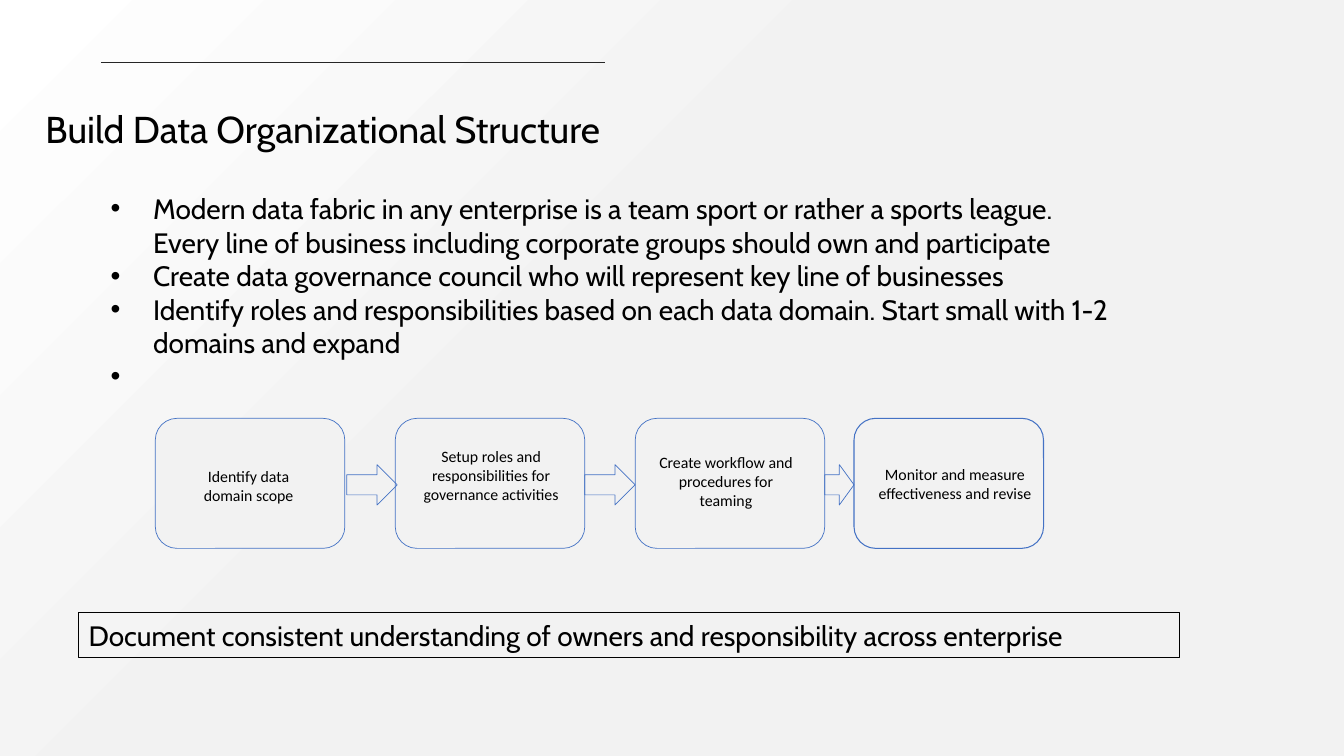
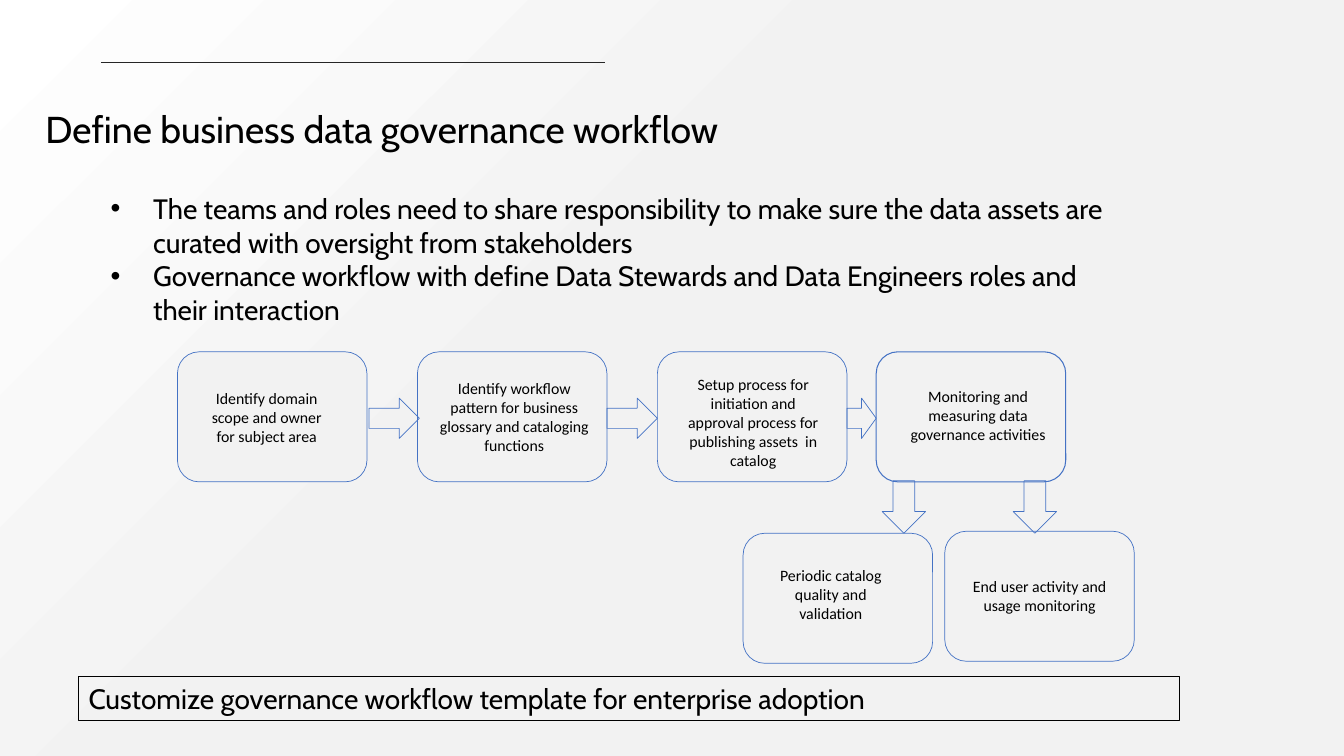
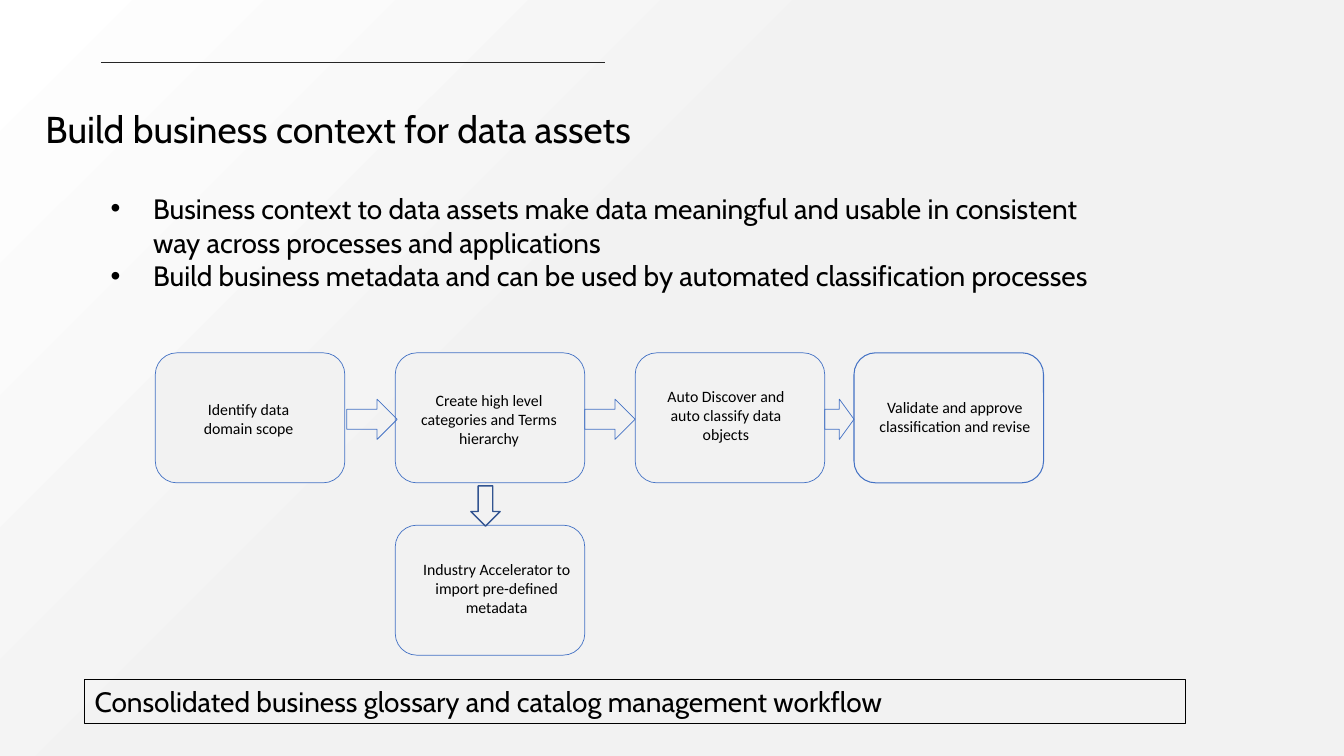
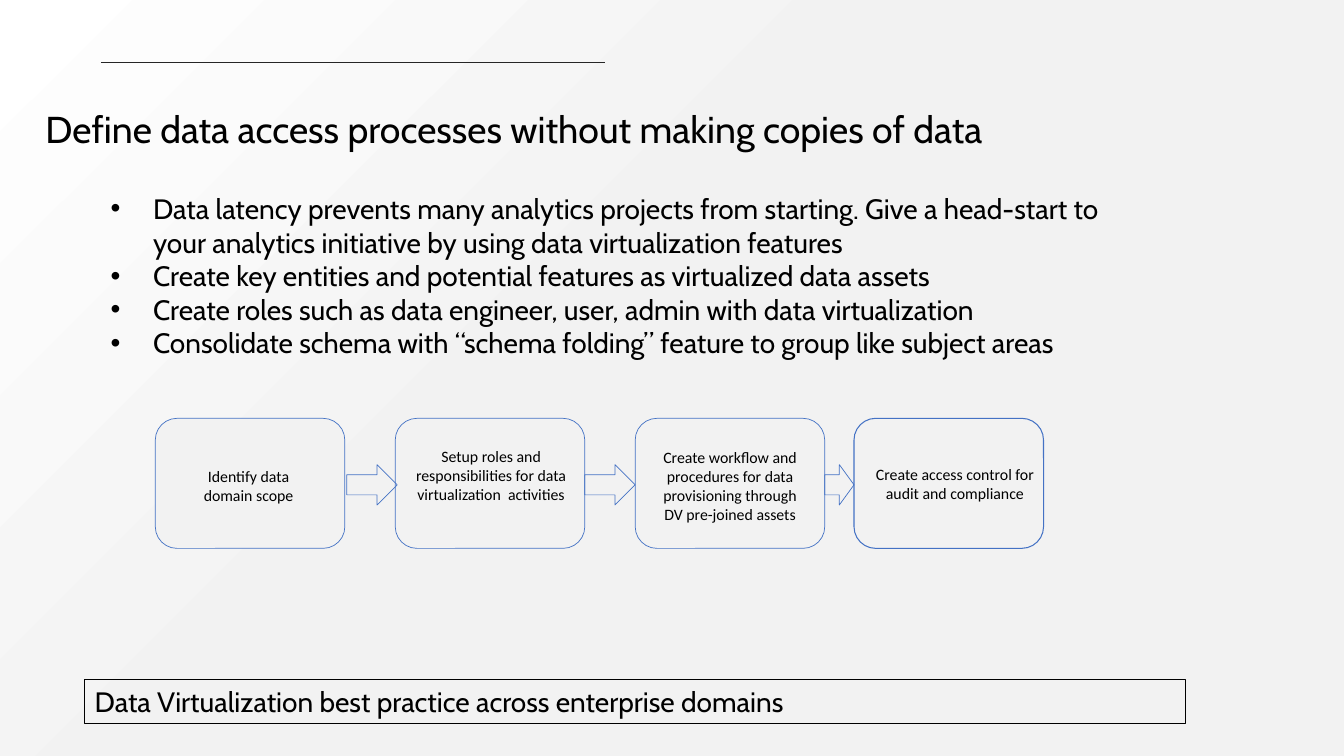
from lxml.etree import SubElement
from pptx import Presentation
from pptx.dml.color import RGBColor
from pptx.enum.shapes import MSO_CONNECTOR, MSO_SHAPE as Preset
from pptx.enum.text import MSO_ANCHOR, PP_ALIGN
from pptx.oxml.ns import qn
from pptx.util import Inches, Pt


def color(hex_text):
    return RGBColor.from_string(hex_text)


class Deck:
    # Shared style
    WHITE, PALE, INK, RULE = "FFFFFF", "F2F2F2", "000000", "262626"
    BLUE, NAVY = "4472C4", "325491"
    HEADING, LABEL = "Cabin", "Calibri"

    # Process row: box size, box offsets, label widths, arrow offsets and widths
    BOX_W, BOX_H = 1.88, 1.29
    STEPS = (0, 2.38, 4.76, 6.93)
    LABEL_WIDTHS = (1.33, 1.76, 1.54, 1.88)
    ARROWS = ((1.9, 0.5), (4.26, 0.5), (6.64, 0.29))

    def __init__(self):
        self.prs = Presentation()
        self.prs.slide_width = Inches(13.33)
        self.prs.slide_height = Inches(7.5)
        self.slide = None

    def new_slide(self, title):
        self.slide = self.prs.slides.add_slide(self.prs.slide_layouts[6])
        fill = self.slide.background.fill
        fill.gradient()
        fill.gradient_angle = 315
        for stop, place, shade in zip(fill.gradient_stops, (0, 0.44), (self.WHITE, self.PALE)):
            stop.position = place
            stop.color.rgb = color(shade)
        self.rule()
        self.text([title], 0.38, 0.98, 11.21, 0.58, 26.7, inset=0.07)

    def rule(self):
        rule = self.slide.shapes.add_connector(
            MSO_CONNECTOR.STRAIGHT, Inches(1), Inches(0.62), Inches(6), Inches(0.62))
        rule.line.color.rgb = color(self.RULE)
        rule.line.width = Pt(1.25)
        SubElement(rule._element.spPr, qn("a:effectLst"))

    def fill_text(self, frame, lines, size, font, align=PP_ALIGN.LEFT):
        frame.word_wrap = True
        for index, line in enumerate(lines):
            paragraph = frame.paragraphs[0] if index == 0 else frame.add_paragraph()
            paragraph.text = line
            paragraph.alignment = align
            paragraph.font.size = Pt(size)
            paragraph.font.name = font
            paragraph.font.color.rgb = color(self.INK)

    def text(self, lines, left, top, width, height, size,
             font=HEADING, align=PP_ALIGN.LEFT, inset=None):
        box = self.slide.shapes.add_textbox(
            Inches(left), Inches(top), Inches(width), Inches(height))
        frame = box.text_frame
        if inset is not None:
            frame.margin_left = frame.margin_right = Inches(inset)
            frame.margin_top = frame.margin_bottom = Inches(inset)
        self.fill_text(frame, lines, size, font, align)
        return frame

    def bullets(self, lines, height):
        frame = self.text(lines, 1, 1.85, 10.23, height, 20)
        for paragraph in frame.paragraphs:
            props = paragraph._p.get_or_add_pPr()
            props.set("marL", str(Inches(0.42)))
            props.set("indent", str(-Inches(0.42)))
            SubElement(props, qn("a:buFont")).set("typeface", "Arial")
            SubElement(props, qn("a:buChar")).set("char", "•")
            # Default run properties close the paragraph properties
            props.append(props.find(qn("a:defRPr")))

    def shape(self, preset, left, top, width, height, line=BLUE, weight=0.5, fill=None):
        shape = self.slide.shapes.add_shape(
            preset, Inches(left), Inches(top), Inches(width), Inches(height))
        shape.shadow.inherit = False
        if fill:
            shape.fill.solid()
            shape.fill.fore_color.rgb = color(fill)
        else:
            shape.fill.background()
        shape.line.color.rgb = color(line)
        shape.line.width = Pt(weight)
        return shape

    def box(self, left, top, weight=0.5):
        self.shape(Preset.ROUNDED_RECTANGLE, left, top, self.BOX_W, self.BOX_H,
                   weight=weight, fill=self.PALE)

    def label(self, text, left, top, width, rows):
        self.text([text], left, top, width, 0.1 + 0.19 * rows, 11.3,
                  self.LABEL, PP_ALIGN.CENTER)

    def process(self, left, top, labels):
        """Row of four steps; each label is (text, left, top, rows)."""
        for index, offset in enumerate(self.STEPS):
            self.box(left + offset, top, 0.75 if index == 3 else 0.5)
        for (text, x, y, rows), width in zip(labels, self.LABEL_WIDTHS):
            self.label(text, x, y, width, rows)
        for offset, width in self.ARROWS:
            self.shape(Preset.RIGHT_ARROW, left + offset, top + 0.46, width, 0.4)

    def down_arrow(self, left, top, width, height, line=BLUE, weight=0.5):
        self.shape(Preset.DOWN_ARROW, left, top, width, height, line, weight)

    def takeaway(self, text, left, top):
        banner = self.shape(Preset.RECTANGLE, left, top, 10.92, 0.44, self.INK, 0.75)
        banner.text_frame.vertical_anchor = MSO_ANCHOR.MIDDLE
        self.fill_text(banner.text_frame, [text], 20, self.HEADING)


deck = Deck()

# Organizational structure
deck.new_slide("Build Data Organizational Structure")
deck.bullets([
    "Modern data fabric in any enterprise is a team sport or rather a sports league. "
    "Every line of business including corporate groups should own and participate",
    "Create data governance council who will represent key line of businesses",
    "Identify roles and responsibilities based on each data domain. "
    "Start small with 1-2 domains and expand",
    " ",
], 2.66)
deck.process(1.54, 4.15, [
    ("Identify data domain scope", 1.8, 4.58, 2),
    ("Setup roles and responsibilities for governance activities", 3.99, 4.38, 3),
    ("Create workflow and procedures for teaming", 6.43, 4.44, 3),
    ("Monitor and measure effectiveness and revise", 8.53, 4.56, 2),
])
deck.takeaway("Document consistent understanding of owners and responsibility across enterprise",
              0.78, 6.08)

# Governance workflow
deck.new_slide("Define business data governance workflow")
deck.bullets([
    "The teams and roles need to share responsibility to make sure the data assets are "
    "curated with oversight from stakeholders",
    "Governance workflow with define Data Stewards and Data Engineers roles and "
    "their interaction",
], 1.78)
deck.process(1.76, 3.49, [
    ("Identify domain scope and owner for subject area", 1.98, 3.81, 3),
    ("Identify workflow pattern for business glossary and cataloging functions",
     4.22, 3.71, 4),
    ("Setup process for initiation and approval process for publishing assets  in catalog",
     6.7, 3.67, 5),
    ("Monitoring and measuring data governance activities", 8.76, 3.79, 3),
])
deck.box(7.37, 5.29)
deck.label("Periodic catalog quality and validation", 7.56, 5.56, 1.36, 3)
deck.box(9.37, 5.27)
deck.label("End user activity and usage monitoring", 9.47, 5.67, 1.68, 2)
for arrow_left in (8.75, 10.05):
    deck.down_arrow(arrow_left, 4.77, 0.43, 0.52)
deck.takeaway("Customize governance workflow template for enterprise adoption", 0.78, 6.71)

# Business context
deck.new_slide("Build business context for data assets")
deck.bullets([
    "Business context to data assets make data meaningful and usable in consistent "
    "way across processes and applications",
    "Build business metadata and can be used by automated classification processes",
], 1.99)
deck.process(1.54, 3.5, [
    ("Identify data domain scope", 1.8, 3.92, 2),
    ("Create high level categories and Terms hierarchy", 3.97, 3.83, 3),
    ("Auto Discover and auto classify data objects", 6.43, 3.79, 3),
    ("Validate and approve classification and revise", 8.53, 3.9, 2),
])
deck.box(3.92, 5.21)
deck.label("Industry Accelerator to import pre-defined metadata", 4.05, 5.5, 1.75, 3)
deck.down_arrow(4.67, 4.82, 0.29, 0.4, deck.NAVY, 1)
deck.takeaway("Consolidated business glossary and catalog management workflow", 0.84, 6.74)

# Data access
deck.new_slide("Define data access processes without making copies of data")
deck.bullets([
    "Data latency prevents many analytics projects from starting. Give a head-start to "
    "your analytics initiative by using data virtualization features",
    "Create key entities and potential features as virtualized data assets",
    "Create roles such as data engineer, user, admin with data virtualization",
    "Consolidate schema with “schema folding” feature to group like subject areas",
], 2.39)
deck.process(1.54, 4.15, [
    ("Identify data domain scope", 1.8, 4.58, 2),
    ("Setup roles and responsibilities for data virtualization  activities", 3.99, 4.38, 3),
    ("Create workflow and procedures for data provisioning through DV pre-joined assets",
     6.47, 4.39, 4),
    ("Create access control for audit and compliance", 8.53, 4.56, 2),
])
deck.takeaway("Data Virtualization best practice across enterprise domains", 0.84, 6.74)

deck.prs.save("out.pptx")
